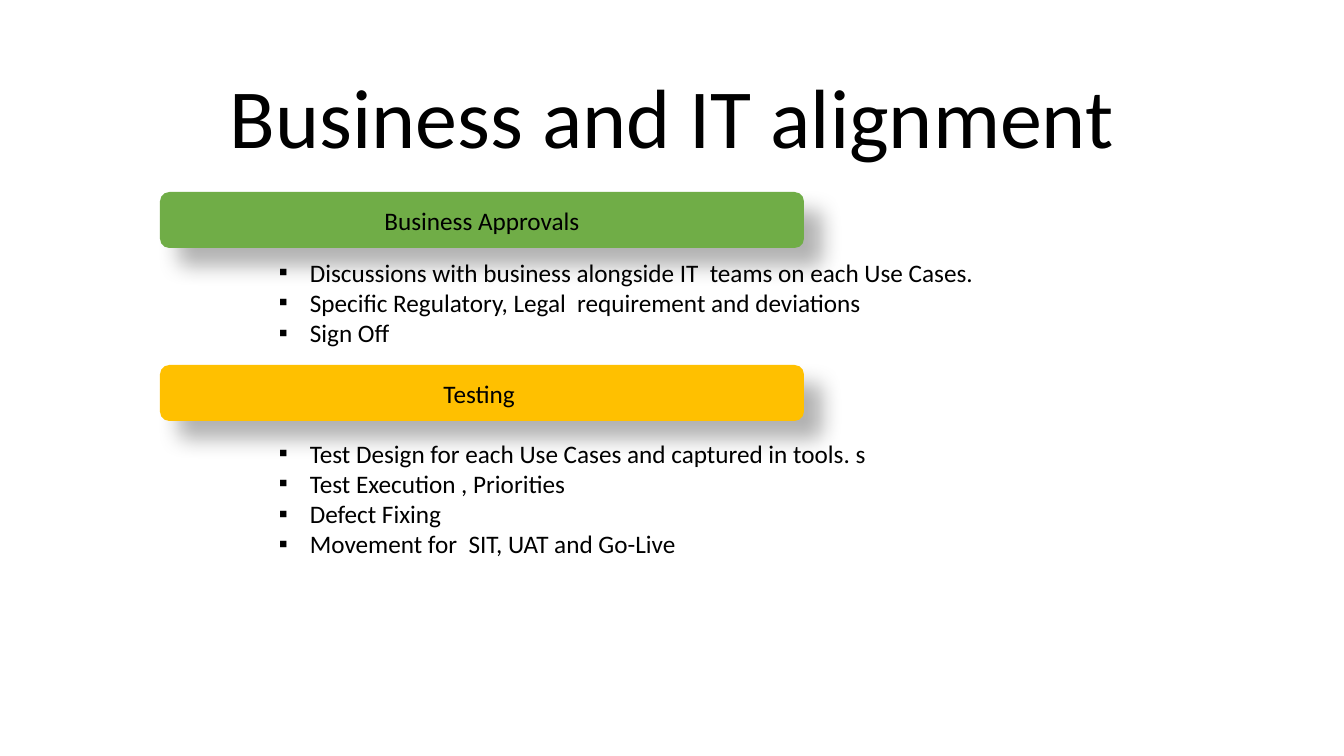
from lxml import etree
from pptx import Presentation
from pptx import util as u
from pptx.enum import shapes, text
from pptx.dml.color import RGBColor
from pptx.oxml import ns

SCALE = u.Inches(1) / 100.8
FONT = "Calibri"
COLORS = {"text": "000000", "approvals": "70AD47", "testing": "FFC000", "shadow": "000000"}
SECTIONS = [
    ("Business Approvals", "approvals", 192, 252, [
        "Discussions with business alongside IT  teams on each Use Cases.",
        "Specific Regulatory, Legal  requirement and deviations",
        "Sign Off",
    ]),
    ("Testing ", "testing", 365, 433, [
        "Test Design for each Use Cases and captured in tools. s",
        "Test Execution , Priorities",
        "Defect Fixing",
        "Movement for  SIT, UAT and Go-Live",
    ]),
]


def px(value):
    return u.Emu(round(value * SCALE))


def color(name):
    return RGBColor.from_string(COLORS[name])


def add_child(parent, tag, **attributes):
    return etree.SubElement(parent, ns.qn(tag), {key: str(value) for key, value in attributes.items()})


def format_text(frame, size, align):
    for para in frame.paragraphs:
        para.alignment = align
        for span in para.runs:
            span.font.name = FONT
            span.font.size = u.Pt(size)
            span.font.color.rgb = color("text")


def set_title(page, wording):
    title = page.shapes.title
    title.left, title.top, title.width, title.height = px(168), px(62), px(1008), px(110)
    frame = title.text_frame
    frame.text = wording
    frame.word_wrap = True
    frame.auto_size = text.MSO_AUTO_SIZE.NONE
    frame.vertical_anchor = text.MSO_ANCHOR.BOTTOM
    format_text(frame, 60, text.PP_ALIGN.CENTER)
    frame.paragraphs[0].line_spacing = 0.9


def add_shadow(shape):
    shape.shadow.inherit = False
    effects = shape.element.spPr.find(ns.qn("a:effectLst"))
    shadow = add_child(effects, "a:outerShdw", blurRad=u.Pt(15), dist=u.Pt(18),
                       dir=45 * 60000, algn="tl", rotWithShape=0)
    tint = add_child(shadow, "a:srgbClr", val=COLORS["shadow"])
    add_child(tint, "a:alpha", val=30000)


def add_banner(page, heading, fill, top):
    banner = page.shapes.add_shape(shapes.MSO_SHAPE.ROUNDED_RECTANGLE, px(160), px(top), px(644), px(56))
    banner.fill.solid()
    banner.fill.fore_color.rgb = color(fill)
    banner.line.fill.background()
    add_shadow(banner)
    frame = banner.text_frame
    frame.text = heading
    frame.vertical_anchor = text.MSO_ANCHOR.MIDDLE
    format_text(frame, 18, text.PP_ALIGN.CENTER)


def add_bullets(page, items, top):
    box = page.shapes.add_textbox(px(168), px(top), px(1075), px(10 + 31 * len(items)))
    frame = box.text_frame
    frame.word_wrap = True
    frame.text = "\n".join(items)
    format_text(frame, 18, text.PP_ALIGN.LEFT)
    for para in frame.paragraphs:
        properties = para._p.get_or_add_pPr()
        properties.set("marL", str(px(132)))
        properties.set("indent", str(-px(31)))
        add_child(properties, "a:buFont", typeface=FONT)
        add_child(properties, "a:buChar", char="▪")


def main():
    deck = Presentation()
    deck.slide_width, deck.slide_height = px(1344), px(756)
    page = deck.slides.add_slide(deck.slide_layouts[5])
    set_title(page, "Business and IT alignment")
    for heading, fill, banner_top, list_top, items in SECTIONS:
        add_bullets(page, items, list_top)
        add_banner(page, heading, fill, banner_top)
    deck.save("out.pptx")


if __name__ == "__main__":
    main()
